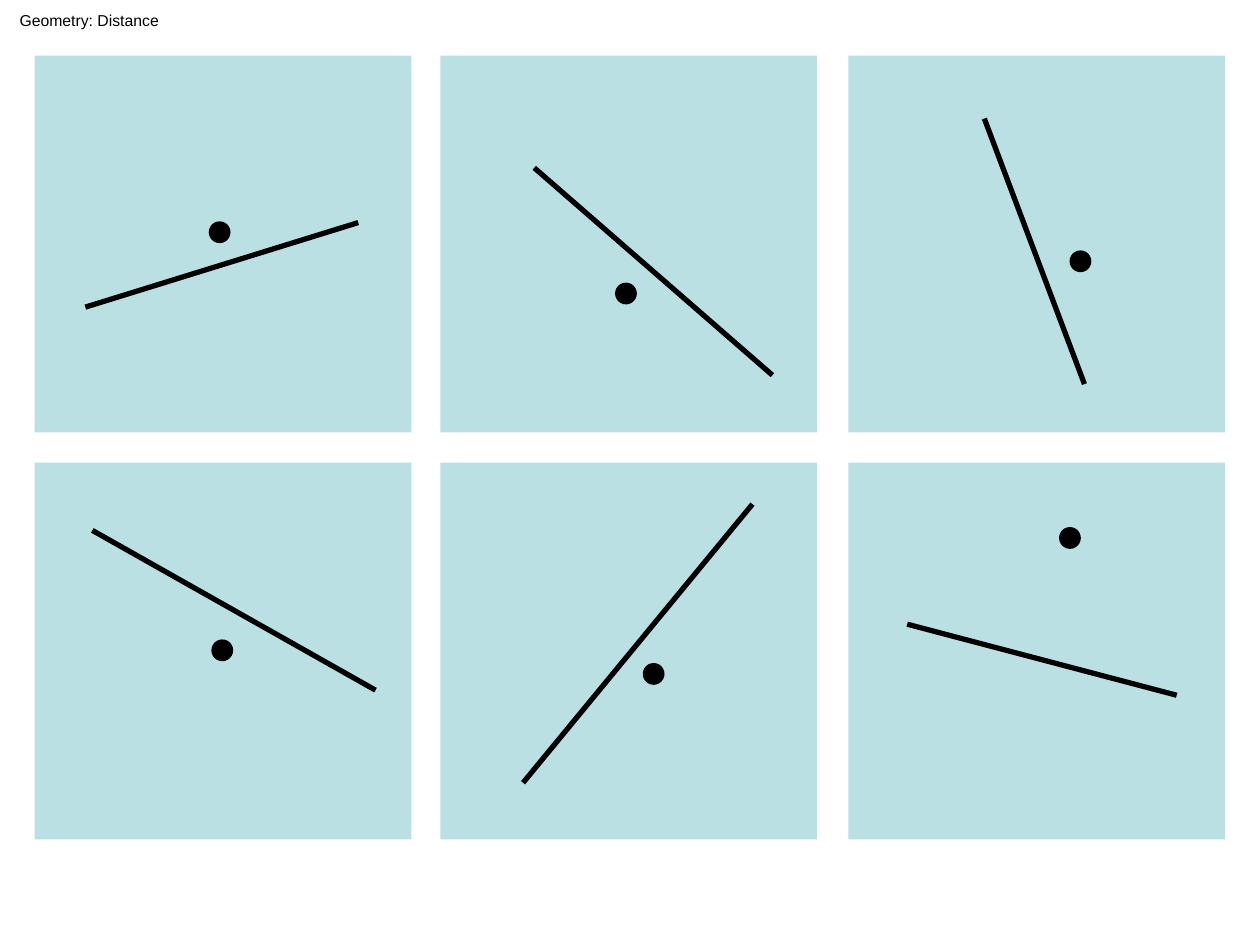
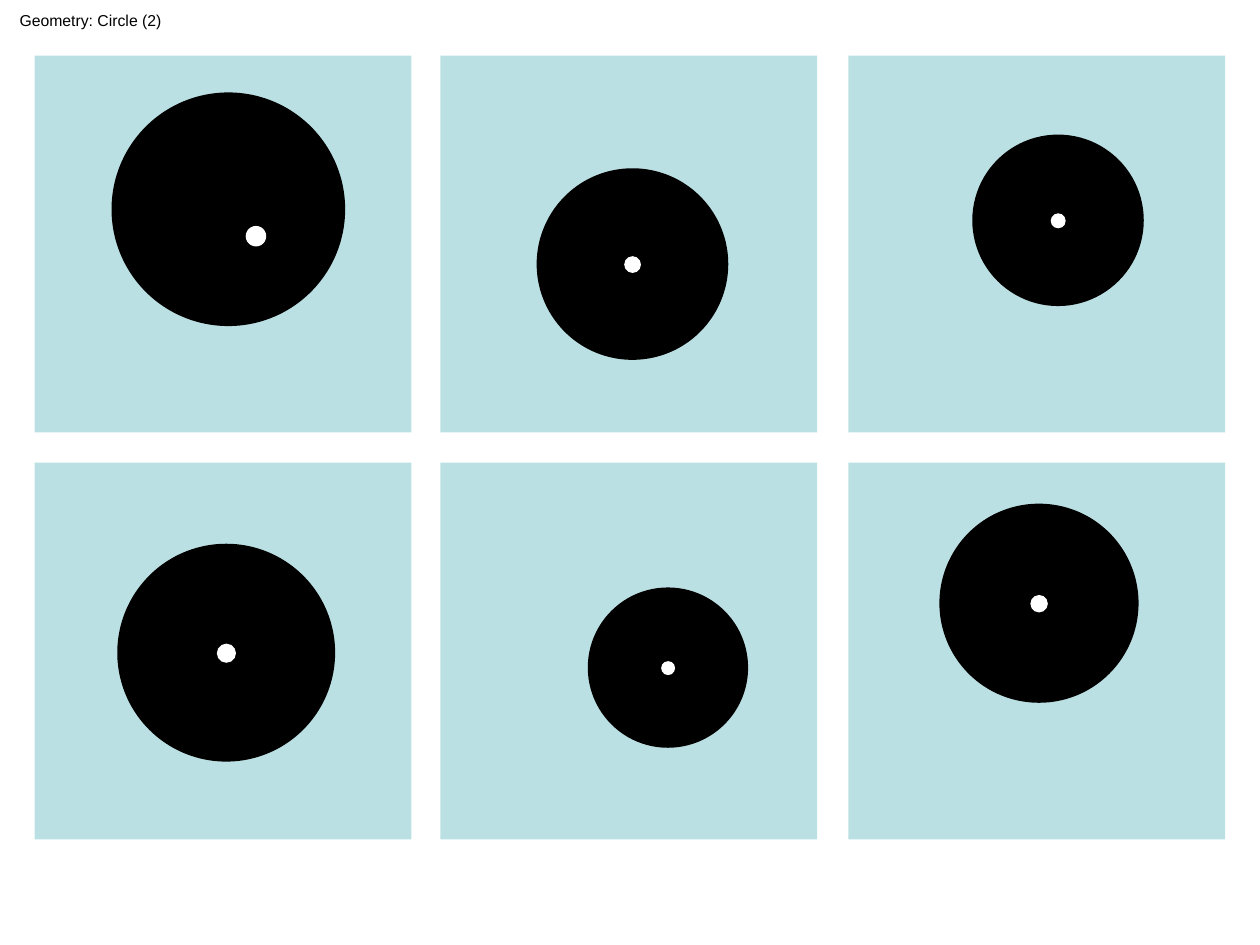
"""Build two slides of geometry stimuli laid out on a grid of tiles."""
from itertools import product
from typing import NamedTuple

from lxml import etree
from pptx import Presentation
from pptx.dml.color import RGBColor
from pptx.enum.shapes import MSO_CONNECTOR, MSO_SHAPE
from pptx.enum.text import MSO_ANCHOR, MSO_AUTO_SIZE, PP_ALIGN
from pptx.oxml.ns import qn
from pptx.presentation import Presentation as Deck
from pptx.slide import Slide
from pptx.util import Pt

RECT = MSO_SHAPE.RECTANGLE
OVAL = MSO_SHAPE.OVAL
STRAIGHT = MSO_CONNECTOR.STRAIGHT
LEFT = PP_ALIGN.LEFT
TOP = MSO_ANCHOR.TOP
FIXED = MSO_AUTO_SIZE.NONE

COLORS = {"tile": "BBE0E3", "ink": "000000", "hole": "FFFFFF"}
FONT = "Arial"
TITLE_ONLY = 5
TILE = 215.3
COLS = (19.8, 251.7, 484.8)
ROWS = (31.8, 264.4)
DOT = 11.7
HOLE_RATIO = 0.09


class Pair(NamedTuple):
    """A line segment and the centre of the dot beside it."""
    x1: float
    y1: float
    x2: float
    y2: float
    dot_x: float
    dot_y: float


class Disc(NamedTuple):
    """A disc and the offset of its hole from the centre."""
    x: float
    y: float
    size: float
    dx: float = 0.1
    dy: float = 0.3


PAIRS = (
    Pair(204.7, 127.2, 48.8, 175.5, 125.5, 132.7),
    Pair(305.3, 95.9, 441.4, 214.4, 357.7, 167.7),
    Pair(562.5, 67.8, 619.7, 219.5, 617.4, 149.3),
    Pair(214.6, 394.4, 52.8, 303.1, 127, 371.6),
    Pair(298.9, 447.3, 430, 288.1, 373.5, 385.1),
    Pair(518.4, 356.7, 672.4, 397.3, 611.4, 307.4),
)
DISCS = (
    Disc(130.5, 119.6, 130.5, 15.8, 15.4),
    Disc(361.4, 150.9, 106.5),
    Disc(604.6, 125.9, 95),
    Disc(129.3, 373, 121.5),
    Disc(381.7, 381.5, 88.6),
    Disc(593.7, 344.7, 110.8),
)


def color(name: str) -> RGBColor:
    """Look up a colour by its role."""
    return RGBColor.from_string(COLORS[name])


def add_form(slide: Slide, kind: MSO_SHAPE, x: float, y: float,
             size: float, fill: str, line: float = 0) -> None:
    """Draw a square or circle from its top left corner."""
    form = slide.shapes.add_shape(kind, Pt(x), Pt(y), Pt(size), Pt(size))
    form.shadow.inherit = False
    form.fill.solid()
    form.fill.fore_color.rgb = color(fill)
    if line:
        form.line.color.rgb = color("ink")
        form.line.width = Pt(line)
    else:
        form.line.fill.background()


def add_round(slide: Slide, x: float, y: float, size: float,
              fill: str, line: float = 0) -> None:
    """Draw a circle around its centre."""
    add_form(slide, OVAL, x - size / 2, y - size / 2, size, fill, line)


def add_pair(slide: Slide, pair: Pair) -> None:
    """Draw a segment with its dot."""
    line = slide.shapes.add_connector(
        STRAIGHT, Pt(pair.x1), Pt(pair.y1), Pt(pair.x2), Pt(pair.y2))
    line.line.color.rgb = color("ink")
    line.line.width = Pt(3)
    etree.SubElement(line._element.spPr, qn("a:effectLst"))
    add_round(slide, pair.dot_x, pair.dot_y, DOT, "ink", 0.75)


def add_disc(slide: Slide, disc: Disc) -> None:
    """Draw a disc with its hole."""
    add_round(slide, disc.x, disc.y, disc.size, "ink", 3)
    add_round(slide, disc.x + disc.dx, disc.y + disc.dy,
              disc.size * HOLE_RATIO, "hole")


def add_page(deck: Deck, text: str) -> Slide:
    """Add a slide with its title and six tiles."""
    slide = deck.slides.add_slide(deck.slide_layouts[TITLE_ONLY])
    title = slide.shapes.title
    title.left, title.top = Pt(4), Pt(2.5)
    title.width, title.height = Pt(104), Pt(18)
    frame = title.text_frame
    frame.text = text
    frame.word_wrap = True
    frame.auto_size = FIXED
    frame.vertical_anchor = TOP
    para = frame.paragraphs[0]
    para.alignment = LEFT
    para.font.name = FONT
    para.font.size = Pt(9)
    para.font.color.rgb = color("ink")
    for y, x in product(ROWS, COLS):
        add_form(slide, RECT, x, y, TILE, "tile")
    return slide


def main() -> None:
    """Build and save the deck."""
    deck = Presentation()
    deck.slide_width, deck.slide_height = Pt(720), Pt(540)
    slide = add_page(deck, "Geometry: Distance")
    for pair in PAIRS:
        add_pair(slide, pair)
    slide = add_page(deck, "Geometry: Circle (2)")
    for disc in DISCS:
        add_disc(slide, disc)
    deck.save("out.pptx")


if __name__ == "__main__":
    main()
